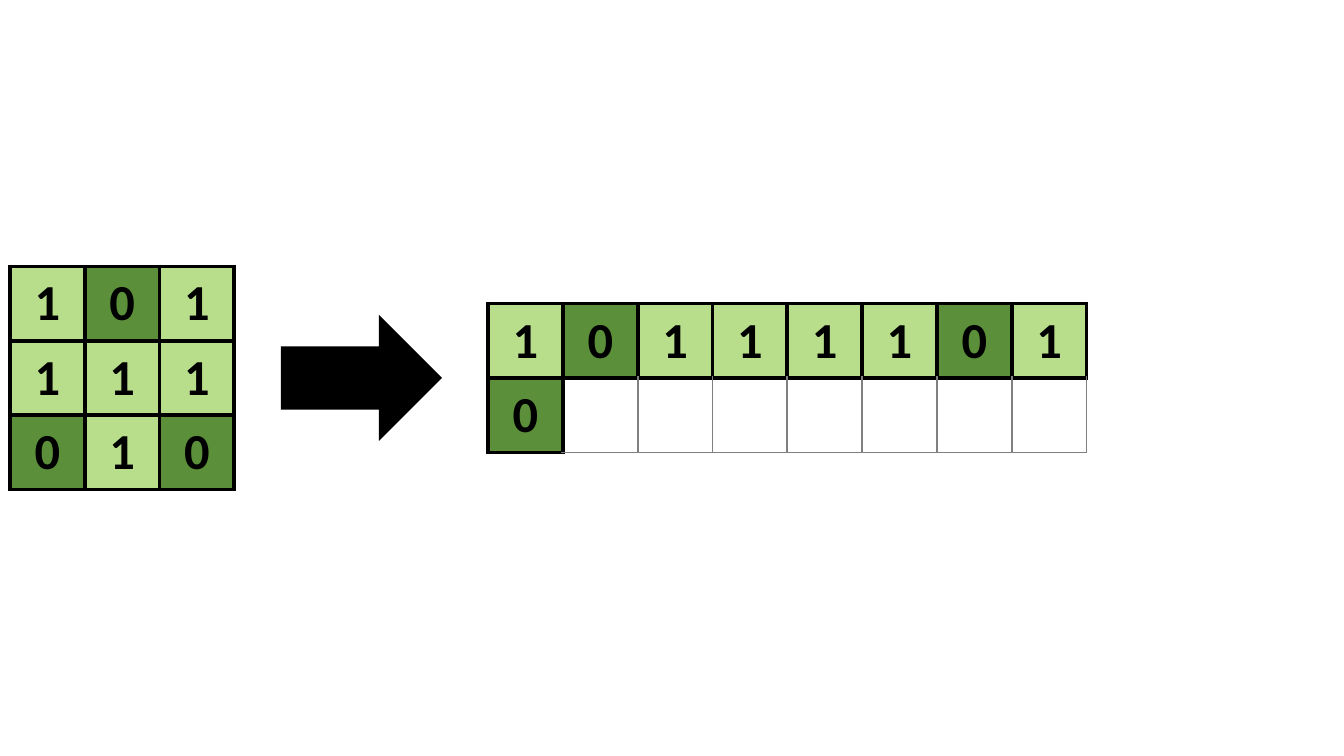
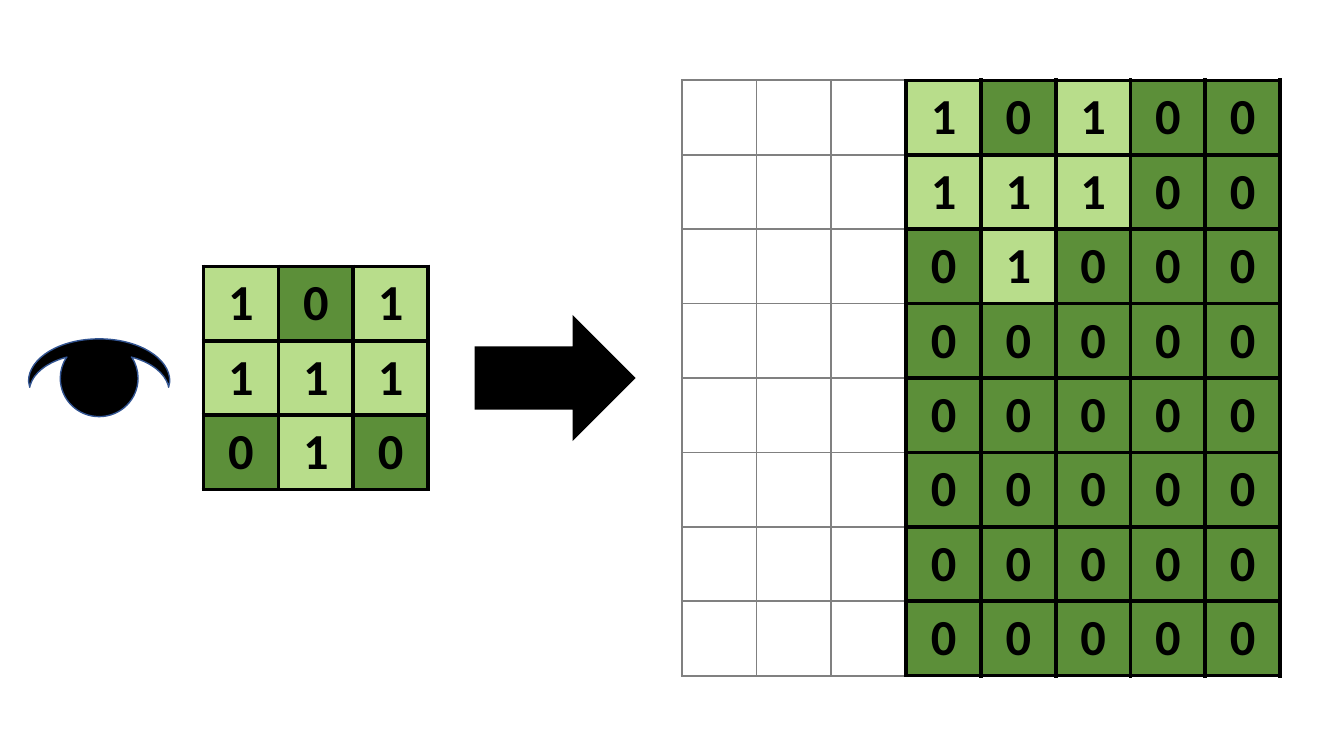
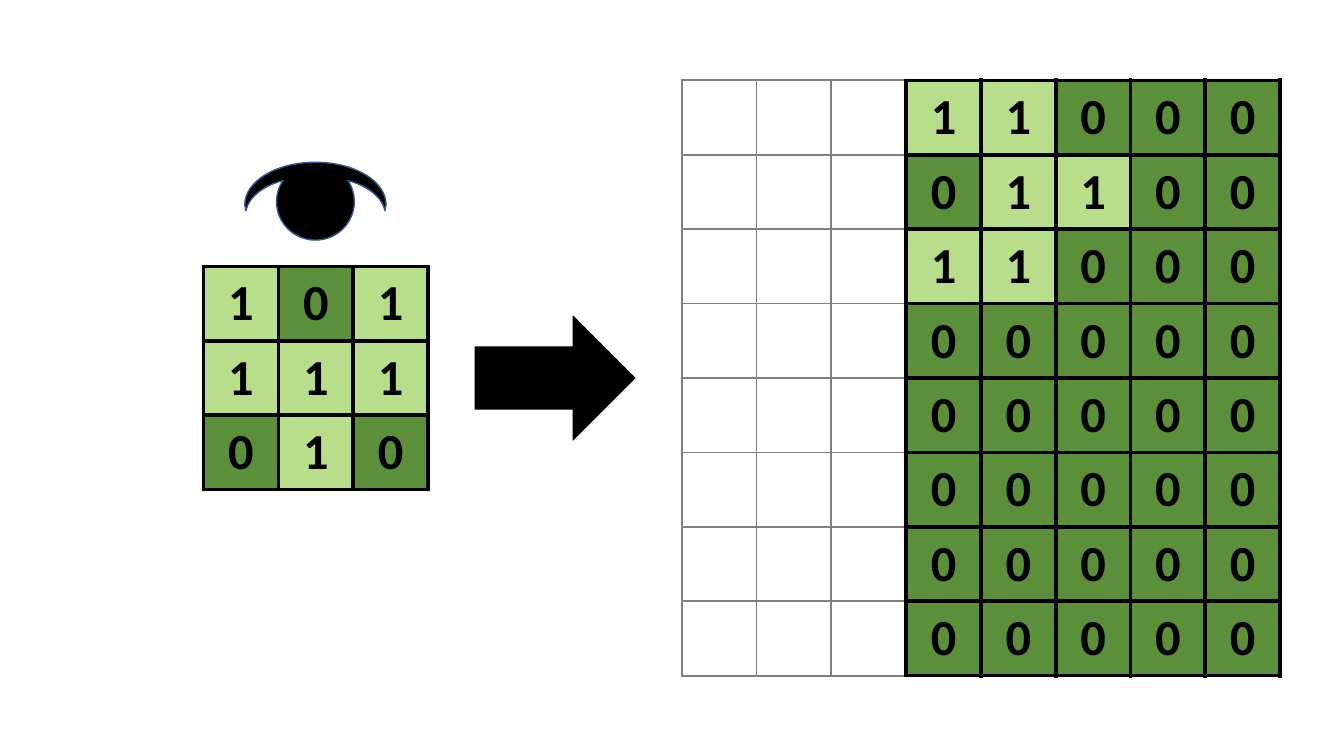
"""Builds three slides that turn a 3 x 3 bit pattern into byte rows and padded grids."""
from lxml.etree import SubElement
from pptx import Presentation
from pptx.dml.color import RGBColor
from pptx.enum.shapes import MSO_SHAPE
from pptx.enum.text import MSO_ANCHOR, PP_ALIGN
from pptx.oxml.ns import qn
from pptx.util import Cm, Pt

BLACK = RGBColor(0x00, 0x00, 0x00)
GRAY = RGBColor(0x80, 0x80, 0x80)
LIGHT_GREEN = RGBColor(0xB8, 0xDD, 0x8B)
DARK_GREEN = RGBColor(0x5C, 0x8F, 0x39)
EYE_BLUE = RGBColor(0x32, 0x54, 0x91)

BYTE = 8
EMPTY = "."
PATTERN = ["101", "111", "010"]
TRANSPOSED = ["".join(column) for column in zip(*PATTERN)]

SLIDE_WIDTH, SLIDE_HEIGHT = Cm(33.87), Cm(19.05)
BIT_WIDTH, BIT_HEIGHT = Cm(15.08) // BYTE, Cm(15) // BYTE
ARROW_WIDTH, ARROW_HEIGHT = Cm(4.06), Cm(3.18)
ARROW_OFFSET, RESULT_OFFSET = Cm(6.83), Cm(12.05)

BIT_FILLS = {"1": LIGHT_GREEN, "0": DARK_GREEN}
BIT_FONT = {"name": "Calibri", "size": Pt(36), "bold": True}
PLAIN_TABLE = {"first_row": False, "horz_banding": False}
NO_MARGINS = {"margin_left": 0, "margin_right": 0}
EDGES = {"a:lnL": (0, -1), "a:lnR": (0, 1), "a:lnT": (-1, 0), "a:lnB": (1, 0)}

EYE_TOP = (0, 0)
EYE_HALF = [
    [(0.99, 0), (1.78, 0.48), (1.78, 1.07)],
    [(1.75, 1.22)],
    [(1.74, 1.17)],
    [(1.65, 0.86), (1.32, 0.61), (0.89, 0.48)],
    [(0.81, 0.46)],
    [(0.82, 0.46)],
    [(0.92, 0.61), (0.98, 0.8), (0.98, 0.99)],
    [(0.98, 1.53), (0.54, 1.96), (0, 1.96)],
]


def set_format(target, values):
    """Set every attribute named in a dict of format values."""
    for name, value in values.items():
        setattr(target, name, value)


def centred_top(height):
    """Return the top that centres a height on the slide."""
    return (SLIDE_HEIGHT - height) // 2


def bit_at(bits, row, column):
    """Return the bit at a position, or the empty mark outside the grid."""
    inside = 0 <= row < len(bits) and 0 <= column < len(bits[0])
    return bits[row][column] if inside else EMPTY


def add_border(cell, edge, color, width):
    """Draw one edge of a table cell."""
    border = SubElement(cell._tc.get_or_add_tcPr(), qn(edge), w=str(width))
    fill = SubElement(border, qn("a:solidFill"))
    SubElement(fill, qn("a:srgbClr"), val=str(color))


def fill_bit(cell, bit):
    """Show a bit on its green, or leave the cell clear."""
    if bit == EMPTY:
        cell.fill.background()
        return
    cell.fill.solid()
    cell.fill.fore_color.rgb = BIT_FILLS[bit]
    cell.vertical_anchor = MSO_ANCHOR.MIDDLE
    set_format(cell, NO_MARGINS)
    paragraph = cell.text_frame.paragraphs[0]
    paragraph.alignment = PP_ALIGN.CENTER
    digit = paragraph.add_run()
    digit.text = bit
    set_format(digit.font, BIT_FONT)
    digit.font.color.rgb = BLACK


def add_bit_grid(slide, left, bits):
    """Add a vertically centred table of bits with heavy lines around filled cells."""
    rows, columns = len(bits), len(bits[0])
    height = BIT_HEIGHT * rows
    grid = slide.shapes.add_table(
        rows, columns, left, centred_top(height), BIT_WIDTH * columns, height
    ).table
    set_format(grid, PLAIN_TABLE)
    for column in grid.columns:
        column.width = BIT_WIDTH
    for row in grid.rows:
        row.height = BIT_HEIGHT
    for row, line in enumerate(bits):
        for column, bit in enumerate(line):
            cell = grid.cell(row, column)
            for edge, (down, across) in EDGES.items():
                neighbour = bit_at(bits, row + down, column + across)
                heavy = (bit, neighbour) != (EMPTY, EMPTY)
                add_border(cell, edge, BLACK if heavy else GRAY, Pt(3 if heavy else 1.5))
            fill_bit(cell, bit)


def paint_black(shape):
    """Give a shape a plain black fill without shadow or outline."""
    shape.shadow.inherit = False
    shape.fill.solid()
    shape.fill.fore_color.rgb = BLACK
    shape.line.fill.background()


def add_arrow(slide, left):
    """Add the vertically centred block arrow."""
    arrow = slide.shapes.add_shape(
        MSO_SHAPE.RIGHT_ARROW, left, centred_top(ARROW_HEIGHT), ARROW_WIDTH, ARROW_HEIGHT
    )
    paint_black(arrow)


def eye_segments():
    """Return the right half of the eye followed by its mirrored way back."""
    starts = [EYE_TOP] + [segment[-1] for segment in EYE_HALF]
    way_back = [
        [(-x, y) for x, y in segment[-2::-1] + [start]]
        for start, segment in zip(starts, EYE_HALF)
    ]
    return EYE_HALF + way_back[::-1]


def bend_segments(shape, segments):
    """Turn straight segments into cubic curves where they have control points."""
    lines = list(shape._element.iter(qn("a:lnTo")))
    for line, (*controls, _) in zip(lines, segments):
        if not controls:
            continue
        line.tag = qn("a:cubicBezTo")
        end = line[0]
        for x, y in controls:
            control = SubElement(line, qn("a:pt"))
            control.set("x", str(x - shape.left))
            control.set("y", str(y - shape.top))
        line.append(end)


def add_eye(slide, centre, top):
    """Add the eye below a top centre point."""
    segments = [
        [(Cm(centre + x), Cm(top + y)) for x, y in segment] for segment in eye_segments()
    ]
    builder = slide.shapes.build_freeform(Cm(centre), Cm(top))
    builder.add_line_segments([segment[-1] for segment in segments], close=True)
    eye = builder.convert_to_shape()
    bend_segments(eye, segments)
    paint_black(eye)
    eye.line.color.rgb = EYE_BLUE
    eye.line.width = Pt(1)


def add_conversion(deck, left, result, eye=None):
    """Add a slide leading from the pattern to its result, with an optional eye."""
    slide = deck.slides.add_slide(deck.slide_layouts[6])
    add_bit_grid(slide, left, PATTERN)
    add_arrow(slide, left + ARROW_OFFSET)
    if eye:
        add_eye(slide, *eye)
    add_bit_grid(slide, left + RESULT_OFFSET, result)


def wrap_bits(bits):
    """Break the joined pattern into byte rows and leave the rest empty."""
    stream = "".join(bits)
    return [stream[i:i + BYTE].ljust(BYTE, EMPTY) for i in range(0, len(stream), BYTE)]


def pad_bits(bits):
    """Pad a pattern with zeros to five columns and eight rows behind empty columns."""
    rows = bits + [""] * (BYTE - len(bits))
    return [row.ljust(5, "0").rjust(BYTE, EMPTY) for row in rows]


def main():
    """Build and save the deck."""
    deck = Presentation()
    set_format(deck, {"slide_width": SLIDE_WIDTH, "slide_height": SLIDE_HEIGHT})
    add_conversion(deck, Cm(0.25), wrap_bits(PATTERN))
    add_conversion(deck, Cm(5.13), pad_bits(PATTERN), eye=(2.5, 8.54))
    add_conversion(deck, Cm(5.13), pad_bits(TRANSPOSED), eye=(7.95, 4.09))
    deck.save("out.pptx")


if __name__ == "__main__":
    main()
